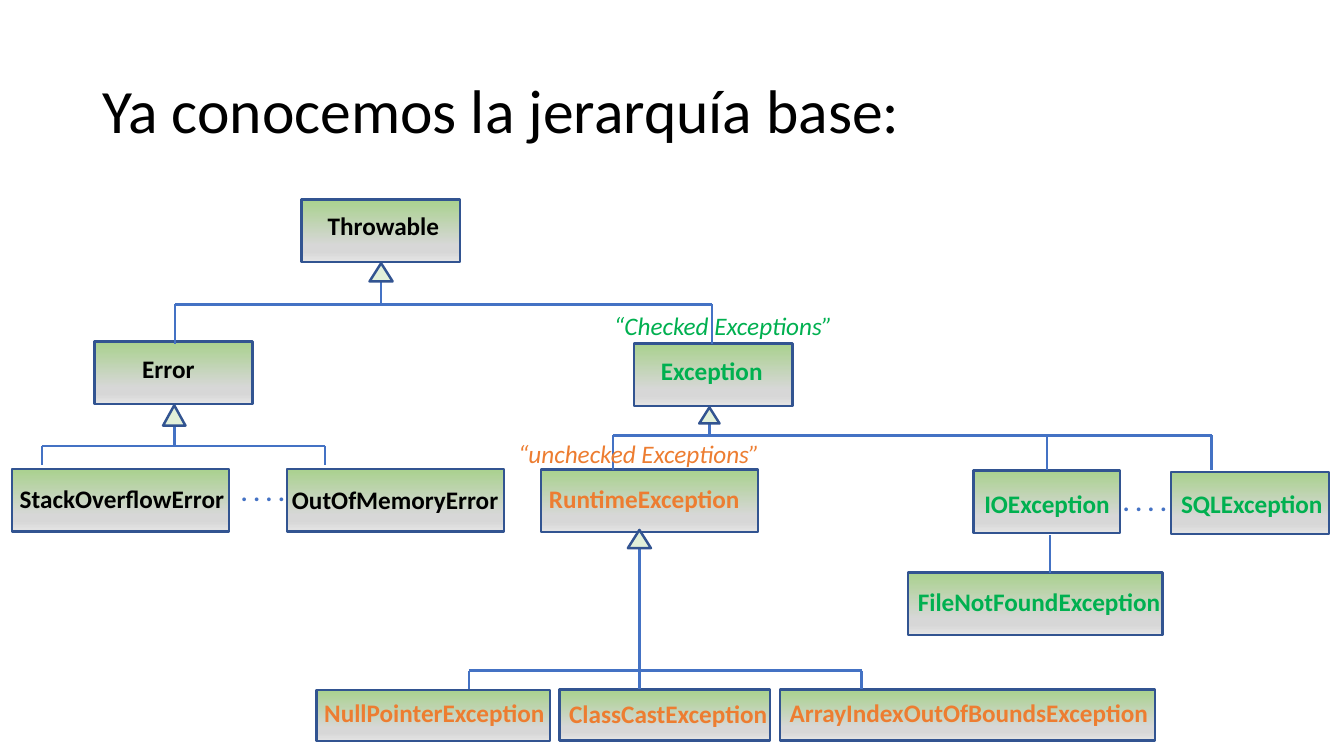
"""Build a slide with the Java exception class hierarchy."""
from copy import deepcopy
from dataclasses import dataclass
from itertools import pairwise

from lxml.etree import SubElement
from pptx import Presentation
from pptx.dml.color import RGBColor
from pptx.enum.shapes import MSO_CONNECTOR, MSO_SHAPE
from pptx.enum.text import MSO_ANCHOR, MSO_AUTO_SIZE, PP_ALIGN
from pptx.oxml.ns import qn
from pptx.util import Pt


@dataclass(frozen=True)
class Theme:
    font: str = "Calibri"
    title_size: int = 44
    label_size: int = 18
    line_width: float = 1.75
    black: str = "000000"
    checked: str = "00B050"
    unchecked: str = "ED7D31"
    connector: str = "4472C4"
    outline: str = "325491"
    arrow: str = "E2F0D9"
    gradient: tuple = ((0, "A9D18E"), (0.74, "D7D7D7"), (0.83, "D7D7D7"), (1, "E4E4E4"))


THEME = Theme()
TITLE = "Ya conocemos la jerarquía base:"
TITLE_FRAME = (66, 29, 828, 104.5)
LABEL_HEIGHT = 29
TALL, SHORT = 44.6, 36.5

# name, colour, box (left, top, width, height), label (left, top, width)
CLASSES = [
    ("Throwable", THEME.black, (215.5, 142.5, 113, TALL), (227, 147, 101.5)),
    ("Error", THEME.black, (67.5, 244, 113, TALL), (94.5, 249, 60.5)),
    ("Exception", THEME.checked, (453, 245.5, 113, TALL), (465, 250.5, 92)),
    ("StackOverflowError", THEME.black, (8.5, 335, 155, TALL), (7, 342, 167)),
    ("OutOfMemoryError", THEME.black, (205, 335, 155, TALL), (201.5, 342.5, 163.5)),
    ("RuntimeException", THEME.unchecked, (386.5, 335.5, 155, TALL), (385, 342, 154)),
    ("IOException", THEME.checked, (695.5, 336, 104.5, TALL), (696, 345, 119.5)),
    ("SQLException", THEME.checked, (836.5, 337, 113, TALL), (836.5, 345.5, 123.5)),
    ("FileNotFoundException", THEME.checked, (648.5, 409, 182, TALL), (648.5, 415.5, 196.5)),
    ("NullPointerException", THEME.unchecked, (226, 493, 167, SHORT), (224.5, 494.5, 192)),
    ("ClassCastException", THEME.unchecked, (399.5, 492.5, 150.5, SHORT), (399.5, 495.5, 194.5)),
    ("ArrayIndexOutOfBoundsException", THEME.unchecked, (557, 492.5, 268, SHORT), (557, 494.5, 279.5)),
]
NOTES = [
    ("“Checked Exceptions”", THEME.checked, (431.5, 218, 179.5), True),
    ("“unchecked Exceptions”", THEME.unchecked, (363, 309.5, 205), True),
    (". . . .", THEME.connector, (165, 337, 52.5), False),
    (". . . .", THEME.connector, (795, 344, 49.5), False),
]
# triangle (left, top, width, height), branch level, child positions, child top
FORKS = [
    ((264, 188, 16.5, 13), 217.5, (125, 508.5), 246),
    ((116.5, 289.5, 16, 14.5), 318.5, (30, 232), 332.5),
    ((499.5, 291, 14.5, 11.5), 311, (438, 748, 865.5), 336),
    ((448.5, 378.5, 16.5, 13), 479, (335, 456.75, 615.5), 492.5),
]
FILE_LINK = (750, 382.5, 750, 409)


def points(values):
    return [Pt(value) for value in values]


def format_text(paragraph, size, color, bold=False, italic=False):
    for run in paragraph.runs:
        run.font.name = THEME.font
        run.font.size = Pt(size)
        run.font.bold = bold
        run.font.italic = italic
        run.font.color.rgb = RGBColor.from_string(color)


def add_title(slide):
    title = slide.shapes.title
    title.left, title.top, title.width, title.height = points(TITLE_FRAME)
    frame = title.text_frame
    frame.text = TITLE
    frame.auto_size = MSO_AUTO_SIZE.NONE
    frame.vertical_anchor = MSO_ANCHOR.MIDDLE
    paragraph = frame.paragraphs[0]
    paragraph.alignment = PP_ALIGN.LEFT
    paragraph.line_spacing = 0.9
    format_text(paragraph, THEME.title_size, THEME.black)


def add_outlined(slide, kind, frame):
    shape = slide.shapes.add_shape(kind, *points(frame))
    shape.shadow.inherit = False
    shape.line.color.rgb = RGBColor.from_string(THEME.outline)
    shape.line.width = Pt(THEME.line_width)
    return shape


def add_box(slide, frame):
    shape = add_outlined(slide, MSO_SHAPE.RECTANGLE, frame)
    shape.fill.gradient()
    shape.fill.gradient_angle = 270
    stop_list = next(shape._element.iter(qn("a:gsLst")))
    while len(stop_list) < len(THEME.gradient):
        stop_list.append(deepcopy(stop_list[0]))
    for stop, (position, color) in zip(shape.fill.gradient_stops, THEME.gradient):
        stop.position = position
        stop.color.rgb = RGBColor.from_string(color)


def add_triangle(slide, frame):
    shape = add_outlined(slide, MSO_SHAPE.ISOSCELES_TRIANGLE, frame)
    shape.fill.solid()
    shape.fill.fore_color.rgb = RGBColor.from_string(THEME.arrow)


def add_line(slide, *ends):
    line = slide.shapes.add_connector(MSO_CONNECTOR.STRAIGHT, *points(ends))
    line.line.color.rgb = RGBColor.from_string(THEME.connector)
    line.line.width = Pt(THEME.line_width)
    SubElement(line._element.spPr, qn("a:effectLst"))


def add_fork(slide, triangle, level, children, child_top):
    left, top, width, height = triangle
    center = left + width / 2
    add_line(slide, center, top + height, center, level)
    for start, end in pairwise(children):
        add_line(slide, start, level, end, level)
    for child in children:
        add_line(slide, child, level, child, child_top)
    add_triangle(slide, triangle)


def add_label(slide, text, color, place, italic=False):
    label = slide.shapes.add_textbox(*points((*place, LABEL_HEIGHT)))
    label.text_frame.word_wrap = True
    label.text_frame.text = text
    format_text(label.text_frame.paragraphs[0], THEME.label_size, color, not italic, italic)


def main():
    presentation = Presentation()
    presentation.slide_width, presentation.slide_height = Pt(960), Pt(540)
    slide = presentation.slides.add_slide(presentation.slide_layouts[5])
    add_title(slide)
    for _, _, box, _ in CLASSES:
        add_box(slide, box)
    for fork in FORKS:
        add_fork(slide, *fork)
    add_line(slide, *FILE_LINK)
    for name, color, _, place in CLASSES:
        add_label(slide, name, color, place)
    for note in NOTES:
        add_label(slide, *note)
    presentation.save("out.pptx")


if __name__ == "__main__":
    main()
